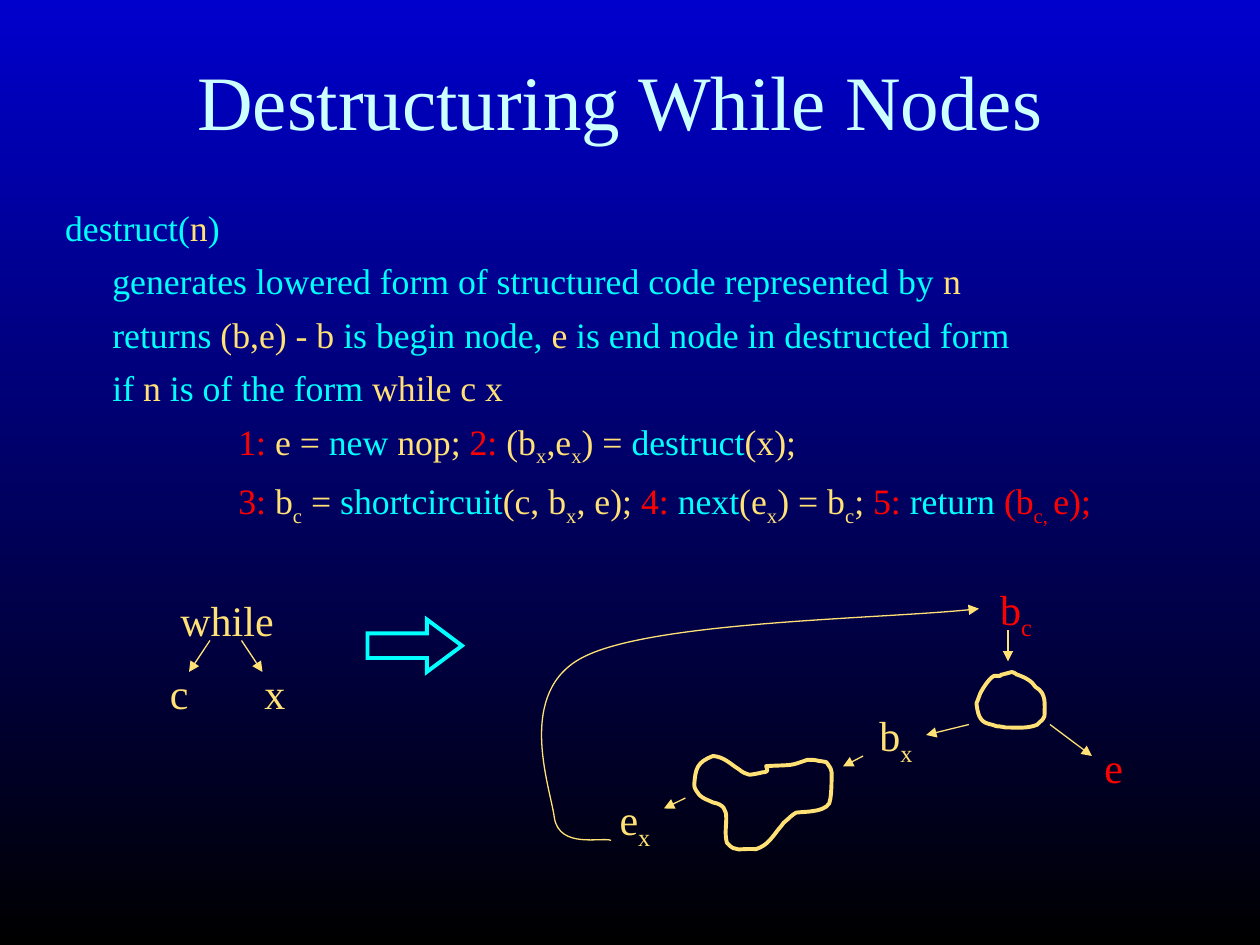
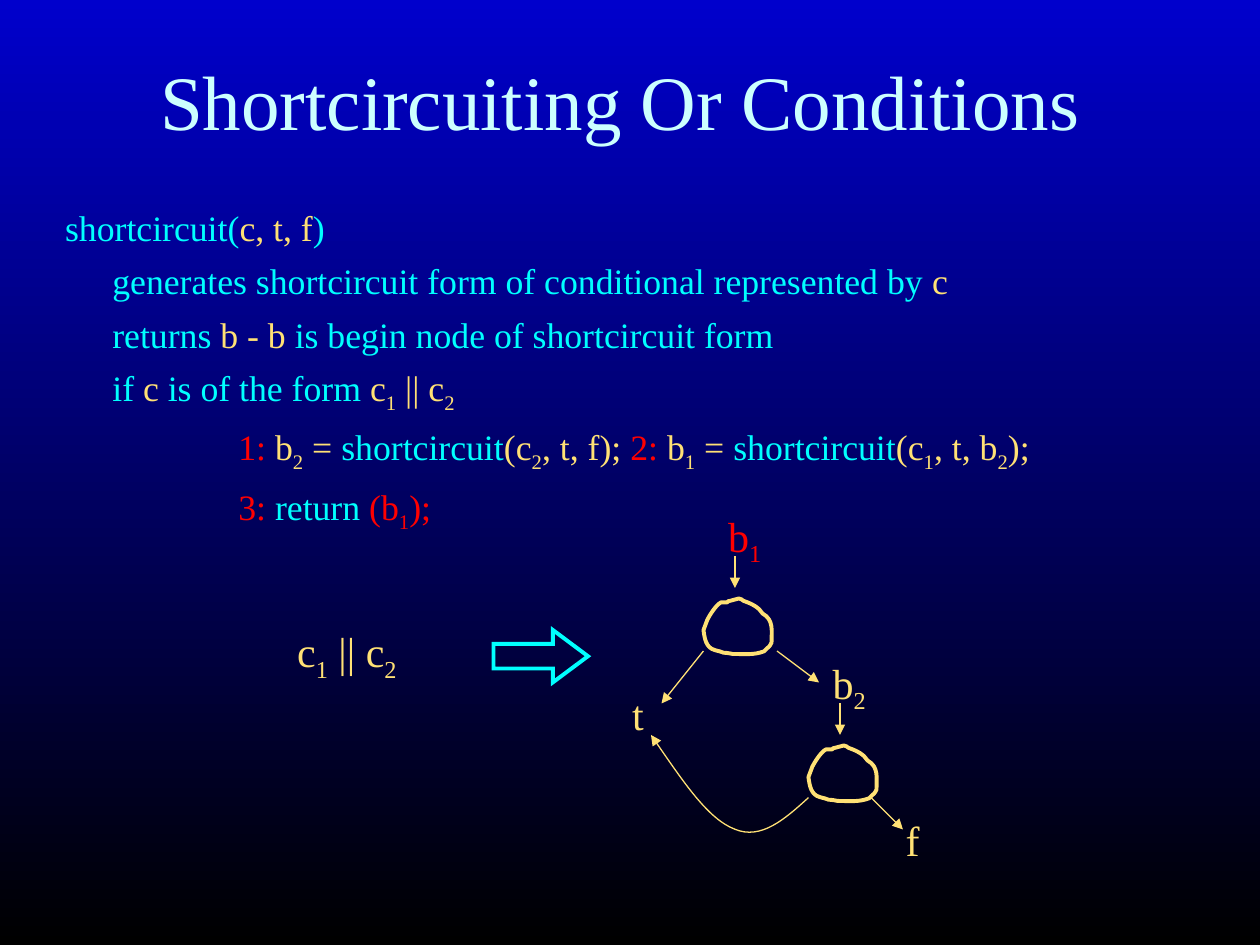
from itertools import chain
from typing import NamedTuple

from lxml import etree
from pptx import Presentation
from pptx import util as u
from pptx.dml import color
from pptx.enum import shapes, text
from pptx.oxml import ns

Pt = u.Pt
FONT = "Times New Roman"
COLORS = {
    "top": "0000CC",
    "bottom": "000000",
    "title": "CCFFFF",
    "cyan": "00FFFF",
    "sand": "FFE175",
    "red": "FF0000",
}
THIN, THICK = 0.75, 2.25
INDENTS = (0, 27, 99)

Point = tuple[float, float]
Curve = tuple[Point, Point, Point]


class Run(NamedTuple):
    text: str
    color: str
    sub: bool = False


class Line(NamedTuple):
    level: int
    runs: list[Run]


class Label(NamedTuple):
    text: str
    x: float
    y: float
    width: float
    color: str = "sand"


class Arrow(NamedTuple):
    x1: float
    y1: float
    x2: float
    y2: float


class Outline(NamedTuple):
    start: Point
    curves: list[Curve]
    closed: bool = True


class Page(NamedTuple):
    title: str
    code: list[Line]
    labels: list[Label]
    block_arrow: Point
    arrows: list[Arrow]
    blobs: list[Point]
    outlines: list[Outline]


def split(marked: str, name: str) -> list[Run]:
    return [Run(t, name, i % 2 == 1) for i, t in enumerate(marked.split("~")) if t]


def line(level: int, *pieces: tuple[str, str]) -> Line:
    return Line(level, list(chain.from_iterable(split(t, c) for c, t in pieces)))


def rgb(name: str) -> color.RGBColor:
    return color.RGBColor.from_string(COLORS[name])


def add_runs(p, runs: list[Run], size: float) -> None:
    for run in runs:
        r = p.add_run()
        r.text = run.text
        r.font.name, r.font.size = FONT, Pt(size)
        r.font.color.rgb = rgb(run.color)
        if run.sub:
            r._r.get_or_add_rPr().set("baseline", "-25000")


def place(sp, x: float, y: float, width: float, height: float) -> None:
    sp.left, sp.top, sp.width, sp.height = Pt(x), Pt(y), Pt(width), Pt(height)


def set_line(sp, name: str, width: float, arrow: bool = False) -> None:
    sp.line.color.rgb = rgb(name)
    sp.line.width = Pt(width)
    if arrow:
        etree.SubElement(sp.line._get_or_add_ln(), ns.qn("a:tailEnd"), type="triangle")


def add_title(s, title: str) -> None:
    sp = s.shapes.title
    place(sp, 30, 12, 660, 90)
    tf = sp.text_frame
    tf.word_wrap, tf.auto_size = True, text.MSO_AUTO_SIZE.NONE
    tf.vertical_anchor = text.MSO_ANCHOR.MIDDLE
    tf.paragraphs[0].alignment = text.PP_ALIGN.CENTER
    add_runs(tf.paragraphs[0], [Run(title, "title")], 44)


def add_code(s, lines: list[Line]) -> None:
    sp = s.placeholders[1]
    place(sp, 30, 114, 678, 186)
    tf = sp.text_frame
    tf.word_wrap, tf.auto_size = True, text.MSO_AUTO_SIZE.NONE
    for i, item in enumerate(lines):
        p = tf.add_paragraph() if i else tf.paragraphs[0]
        pPr = p._p.get_or_add_pPr()
        pPr.set("marL", str(Pt(INDENTS[item.level])))
        pPr.set("indent", "0")
        etree.SubElement(pPr, ns.qn("a:buNone"))
        p.space_before = Pt(6 if i else 0)
        add_runs(p, item.runs, 20.4)


def add_label(s, label: Label) -> None:
    height = 40.3 if "~" in label.text else 36
    sp = s.shapes.add_textbox(Pt(label.x), Pt(label.y), Pt(label.width), Pt(height))
    tf = sp.text_frame
    tf.word_wrap, tf.auto_size = False, text.MSO_AUTO_SIZE.SHAPE_TO_FIT_TEXT
    add_runs(tf.paragraphs[0], split(label.text, label.color), 24)


def add_block_arrow(s, at: Point) -> None:
    sp = s.shapes.add_shape(shapes.MSO_SHAPE.RIGHT_ARROW, Pt(at[0]), Pt(at[1]), Pt(54), Pt(30))
    sp.adjustments[0], sp.adjustments[1] = 0.47, 0.67
    sp.shadow.inherit = False
    sp.fill.background()
    set_line(sp, "cyan", THICK)
    etree.SubElement(sp.line._get_or_add_ln(), ns.qn("a:miter"), lim="800000")


def add_arrow(s, a: Arrow) -> None:
    sp = s.shapes.add_connector(
        shapes.MSO_CONNECTOR.STRAIGHT, Pt(a.x1), Pt(a.y1), Pt(a.x2), Pt(a.y2)
    )
    set_line(sp, "sand", THIN, arrow=True)
    etree.SubElement(sp._element.spPr, ns.qn("a:effectLst"))


def curve_segments(sp) -> None:
    segments = list(sp._element.iter(ns.qn("a:lnTo")))
    for i in range(0, len(segments), 3):
        cubic = etree.Element(ns.qn("a:cubicBezTo"))
        segments[i].addprevious(cubic)
        for segment in segments[i:i + 3]:
            cubic.append(segment[0])
            segment.getparent().remove(segment)


def add_outline(s, outline: Outline, dx: float = 0, dy: float = 0) -> None:
    points = chain.from_iterable(outline.curves)
    builder = s.shapes.build_freeform(Pt(outline.start[0] + dx), Pt(outline.start[1] + dy))
    builder.add_line_segments([(Pt(x + dx), Pt(y + dy)) for x, y in points], close=outline.closed)
    sp = builder.convert_to_shape()
    curve_segments(sp)
    sp.shadow.inherit = False
    sp.fill.background()
    set_line(sp, "sand", THICK if outline.closed else THIN, arrow=not outline.closed)


BLOB = Outline((15, 1.4), [
    ((14.4, 1.4), (13.7, 1.4), (13.7, 2.2)),
    ((12.2, 2.2), (10.8, 2.2), (10.1, 2.2)),
    ((7.2, 3.6), (3.6, 9.4), (2.2, 12.2)),
    ((1.4, 14.4), (0, 18), (0, 18)),
    ((0.7, 23), (1.4, 28.1), (6.5, 29.5)),
    ((8.6, 30.2), (10.1, 30.2), (11.5, 31)),
    ((13.7, 31), (16.6, 31.7), (16.6, 31.7)),
    ((23.8, 31.7), (28.8, 32.4), (34.6, 30.2)),
    ((38.2, 26.6), (37.4, 28.1), (38.9, 25.2)),
    ((38.9, 18.7), (40.3, 12.2), (33.8, 8.6)),
    ((31.7, 5), (27.4, 2.9), (23, 1.4)),
    ((22.3, 0.7), (20.9, 0), (20.2, 0)),
    ((18.7, 0.7), (16.6, 0.7), (15, 1.4)),
])

LOOP_BODY = Outline((437.8, 437.8), [
    ((455, 437), (450.7, 437.8), (461.5, 434.2)),
    ((463.7, 434.2), (465.8, 434.2), (468, 434.9)),
    ((469.4, 434.9), (472.3, 435.6), (472.3, 435.6)),
    ((475.2, 439.9), (474.5, 438.5), (475.2, 441.4)),
    ((475.2, 446.4), (475.2, 451.4), (474.5, 456.5)),
    ((474.5, 464.4), (460.1, 463.7), (455, 464.4)),
    ((452.2, 465.8), (450.7, 468), (447.8, 470.2)),
    ((446.4, 472.3), (444.2, 474.5), (442.8, 476.6)),
    ((439.2, 481), (437.8, 483.1), (432, 485.3)),
    ((421.9, 484.6), (420.5, 487.4), (415.4, 481.7)),
    ((412.6, 471.6), (419.8, 460.8), (407.5, 458.6)),
    ((404.6, 457.2), (401.8, 456.5), (399.6, 454.3)),
    ((398.2, 452.2), (396.7, 450.7), (396.7, 448.6)),
    ((397.4, 439.2), (398.2, 435.6), (407.5, 432)),
    ((414, 432.7), (416.9, 436.3), (422.6, 439.9)),
    ((424.1, 441.4), (426.2, 442.1), (428.4, 442.8)),
    ((432.7, 442.1), (432.7, 442.1), (435.6, 441.4)),
    ((436.3, 441.4), (438.5, 441.4), (438.5, 439.9)),
    ((438.5, 439.2), (437.8, 438.5), (437.8, 437.8)),
])

BACK_EDGE = Outline((349.2, 480.2), [
    ((344.2, 478.1), (319.7, 485.3), (316.8, 467.3)),
    ((314.6, 450), (293.8, 394.6), (334.1, 375.1)),
    ((374.4, 355), (512.6, 353.5), (559.4, 347.8)),
], closed=False)

TRUE_EDGE = Outline((462, 455.8), [
    ((448.6, 468), (434.9, 480.2), (419.8, 473.8)),
    ((404.6, 468), (388.8, 444.2), (372, 420)),
], closed=False)

WHILE_PAGE = Page(
    "Destructuring While Nodes ",
    [
        line(0, ("cyan", "destruct("), ("sand", "n"), ("cyan", ")")),
        line(1, ("cyan", "generates lowered form of structured code represented by "), ("sand", "n")),
        line(1, ("cyan", "returns "), ("sand", "(b,e) - b "), ("cyan", "is begin node, "),
             ("sand", "e"), ("cyan", " is end node in destructed form")),
        line(1, ("cyan", "if "), ("sand", "n"), ("cyan", " is of the form "), ("sand", "while c x")),
        line(2, ("red", "1:"), ("sand", " e = "), ("cyan", "new"), ("sand", " nop; "), ("red", "2:"),
             ("sand", " (b~x~,e~x~) = "), ("cyan", "destruct"), ("sand", "(x);")),
        line(2, ("red", "3:"), ("sand", " b~c~ = "), ("cyan", "shortcircuit"),
             ("sand", "(c, b~x~, e); "), ("red", "4: "), ("cyan", "next"),
             ("sand", "(e~x~) = b~c~; "), ("red", "5: "), ("cyan", "return "), ("red", "(b~c, ~e);")),
    ],
    [
        Label("while", 96, 336, 67.7),
        Label("c", 90, 378, 25.2),
        Label("x", 144, 378, 26.5),
        Label("b~c~", 564.5, 330, 33),
        Label("e", 624, 420, 25.2, "red"),
        Label("b~x~", 495.4, 402, 33.5),
        Label("e~x~", 347, 450, 32.2),
    ],
    (210, 354),
    [
        Arrow(120, 366, 108, 384),
        Arrow(138, 366, 150, 384),
        Arrow(576, 360, 576, 378),
        Arrow(600, 414, 624, 432),
        Arrow(493.2, 432, 481.7, 438),
        Arrow(391.7, 456, 379.4, 462),
        Arrow(553.7, 414, 529.2, 420),
    ],
    [(558, 384)],
    [LOOP_BODY, BACK_EDGE],
)
WHILE_PAGE.labels[3] = WHILE_PAGE.labels[3]._replace(color="red")

OR_PAGE = Page(
    "Shortcircuiting Or Conditions ",
    [
        line(0, ("cyan", "shortcircuit("), ("sand", "c, t, f"), ("cyan", ")")),
        line(1, ("cyan", "generates shortcircuit form of conditional represented by "), ("sand", "c")),
        line(1, ("cyan", "returns "), ("sand", "b - b "), ("cyan", "is begin node of shortcircuit form")),
        line(1, ("cyan", "if "), ("sand", "c"), ("cyan", " is of the form "), ("sand", "c~1~ || c~2~")),
        line(2, ("red", "1:"), ("sand", " b~2~ = "), ("cyan", "shortcircuit"),
             ("sand", "(c~2~, t, f); "), ("red", "2:"), ("sand", " b~1~ = "),
             ("cyan", "shortcircuit"), ("sand", "(c~1~, t, b~2~);")),
        line(2, ("red", "3: "), ("cyan", "return "), ("red", "(b~1~);")),
    ],
    [
        Label("c~1~ || c~2~", 162.7, 354, 71.8),
        Label("b~1~", 409, 288, 33.5, "red"),
        Label("b~2~", 468.7, 372, 33.5),
        Label("t", 354.2, 390, 21.2),
        Label("f", 510.5, 462, 22.5),
    ],
    (282, 360),
    [
        Arrow(420, 318, 420, 336),
        Arrow(402, 372, 378, 402),
        Arrow(444, 372, 468, 390),
        Arrow(480, 402, 480, 420),
        Arrow(498, 456, 516, 474),
    ],
    [(402, 342), (462, 426)],
    [TRUE_EDGE],
)


def add_page(prs, page: Page) -> None:
    s = prs.slides.add_slide(prs.slide_layouts[1])
    add_title(s, page.title)
    add_code(s, page.code)
    for label in page.labels:
        add_label(s, label)
    add_block_arrow(s, page.block_arrow)
    for x, y in page.blobs:
        add_outline(s, BLOB, x, y)
    for arrow in page.arrows:
        add_arrow(s, arrow)
    for outline in page.outlines:
        add_outline(s, outline)


def main() -> None:
    prs = Presentation()
    prs.slide_width, prs.slide_height = Pt(720), Pt(540)
    fill = prs.slide_master.background.fill
    fill.gradient()
    fill.gradient_angle = 270
    for stop, name in zip(fill.gradient_stops, ("top", "bottom")):
        stop.color.rgb = rgb(name)
    for page in (WHILE_PAGE, OR_PAGE):
        add_page(prs, page)
    prs.save("out.pptx")


if __name__ == "__main__":
    main()
